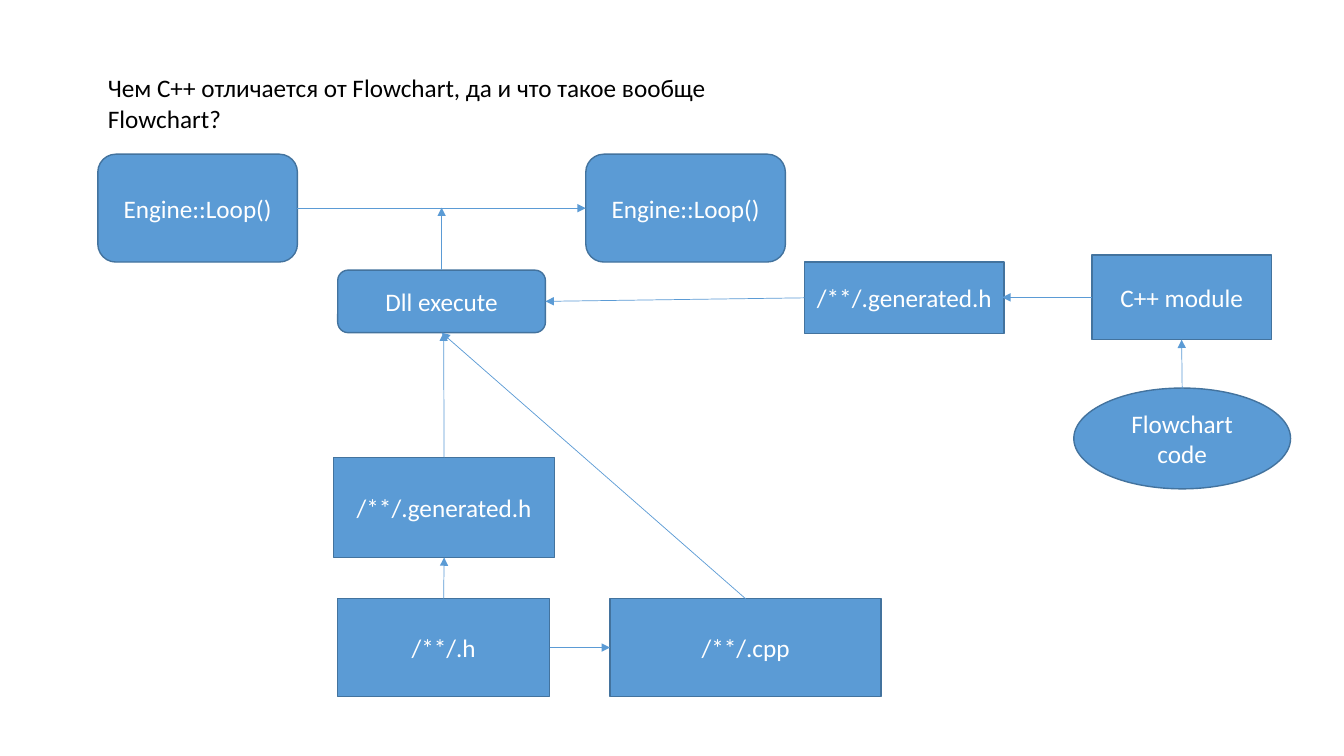
from lxml import etree
from pptx import Presentation
from pptx import util as u
from pptx.dml.color import RGBColor
from pptx.enum import shapes, text
from pptx.oxml.ns import qn

BLUE = RGBColor(0x5B, 0x9B, 0xD5)
EDGE = RGBColor(0x43, 0x73, 0x9E)
WHITE = RGBColor(255, 255, 255)
BLACK = RGBColor(0, 0, 0)
FONT = {"name": "Calibri", "size": u.Pt(18), "bold": False}

RECT = shapes.MSO_SHAPE.RECTANGLE
ROUND = shapes.MSO_SHAPE.ROUNDED_RECTANGLE
OVAL = shapes.MSO_SHAPE.OVAL
TOP, LEFT, BASE, RIGHT = range(4)

NODES = {
    "start": (ROUND, "Engine::Loop()", 0.97, 1.53, 1.98, 1.07),
    "next": (ROUND, "Engine::Loop()", 5.81, 1.53, 1.98, 1.07),
    "gen": (RECT, "/**/.generated.h", 3.31, 4.54, 2.19, 0.99),
    "dll": (ROUND, "Dll execute", 3.35, 2.68, 2.06, 0.62),
    "head": (RECT, "/**/.h", 3.35, 5.94, 2.1, 0.97),
    "code": (RECT, "/**/.cpp", 6.05, 5.94, 2.69, 0.97),
    "chart": (OVAL, "Flowchart code", 10.65, 3.85, 2.15, 1),
    "module": (RECT, "C++ module", 10.83, 2.53, 1.78, 0.84),
    "made": (RECT, "/**/.generated.h", 7.98, 2.6, 1.98, 0.71),
}
LINKS = [
    ("start", RIGHT, "next", LEFT),
    ("gen", TOP, (4.4, 3.3), None),
    ("dll", TOP, (4.38, 2.06), None),
    ("head", RIGHT, "code", LEFT),
    ("code", TOP, "dll", BASE),
    ("head", TOP, "gen", BASE),
    ("chart", TOP, "module", BASE),
    ("module", LEFT, (9.94, 2.95), None),
    ("made", LEFT, "dll", RIGHT),
]


def style(item, values):
    """Set every attribute named in values."""
    for name, value in values.items():
        setattr(item, name, value)


def place(item, *box):
    """Move and size an item in inches."""
    style(item, dict(zip(("left", "top", "width", "height"), map(u.Inches, box))))


def write(para, words, color, align):
    """Put formatted words in a paragraph."""
    para.alignment = align
    run = para.add_run()
    run.text = words
    style(run.font, FONT)
    run.font.color.rgb = color


def add_title(slide, words):
    """Format and fill the title placeholder."""
    title = slide.shapes.title
    place(title, 0.97, 0.67, 7.26, 0.4)
    frame = title.text_frame
    style(frame, {"word_wrap": False,
                  "auto_size": text.MSO_AUTO_SIZE.SHAPE_TO_FIT_TEXT,
                  "vertical_anchor": text.MSO_ANCHOR.TOP})
    para = frame.paragraphs[0]
    para.line_spacing = 1.0
    write(para, words, BLACK, text.PP_ALIGN.LEFT)


def add_node(slide, kind, words, *box):
    """Draw one labelled node."""
    node = slide.shapes.add_shape(kind, *map(u.Inches, box))
    node.shadow.inherit = False
    node.fill.solid()
    node.fill.fore_color.rgb = BLUE
    node.line.color.rgb = EDGE
    node.line.width = u.Pt(1)
    frame = node.text_frame
    style(frame, {"word_wrap": True, "vertical_anchor": text.MSO_ANCHOR.MIDDLE})
    write(frame.paragraphs[0], words, WHITE, text.PP_ALIGN.CENTER)
    return node


def add_link(slide, nodes, source, exit, target, entry):
    """Draw an arrow from a node to another node or to a point."""
    point = (0, 0) if entry is not None else target
    link = slide.shapes.add_connector(
        shapes.MSO_CONNECTOR.STRAIGHT, 0, 0, *map(u.Inches, point))
    link.begin_connect(nodes[source], exit)
    if entry is not None:
        link.end_connect(nodes[target], entry)
    link.line.color.rgb = BLUE
    link.line.width = u.Pt(0.5)
    etree.SubElement(link.line._get_or_add_ln(), qn("a:tailEnd"), type="triangle")
    etree.SubElement(link._element.spPr, qn("a:effectLst"))


def main():
    """Build and save the slide."""
    deck = Presentation()
    style(deck, {"slide_width": u.Inches(13.33), "slide_height": u.Inches(7.5)})
    slide = deck.slides.add_slide(deck.slide_layouts[5])
    add_title(slide, "Чем C++ отличается от Flowchart, да и что такое вообще Flowchart?")
    nodes = {name: add_node(slide, *data) for name, data in NODES.items()}
    for link in LINKS:
        add_link(slide, nodes, *link)
    deck.save("out.pptx")


if __name__ == "__main__":
    main()
